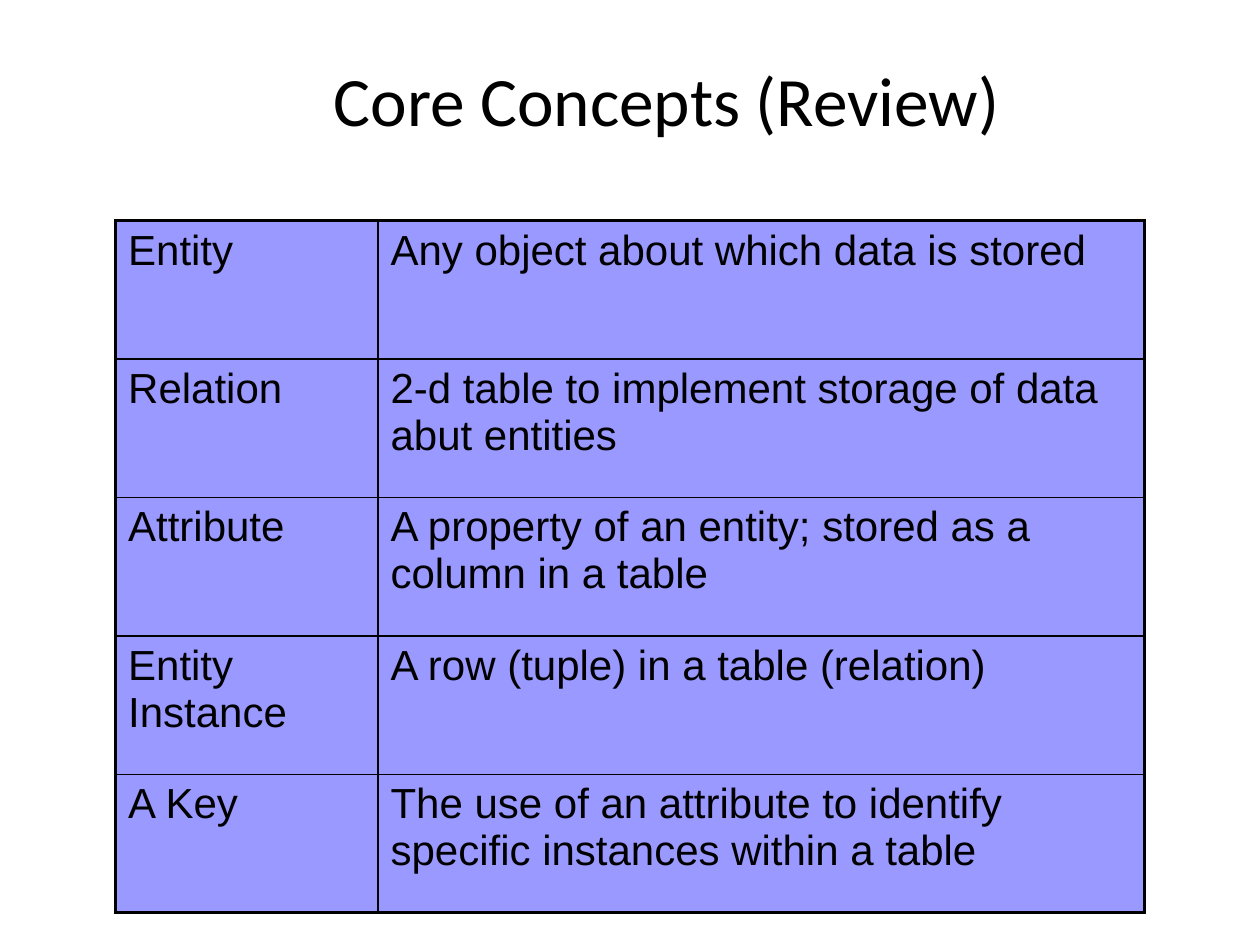
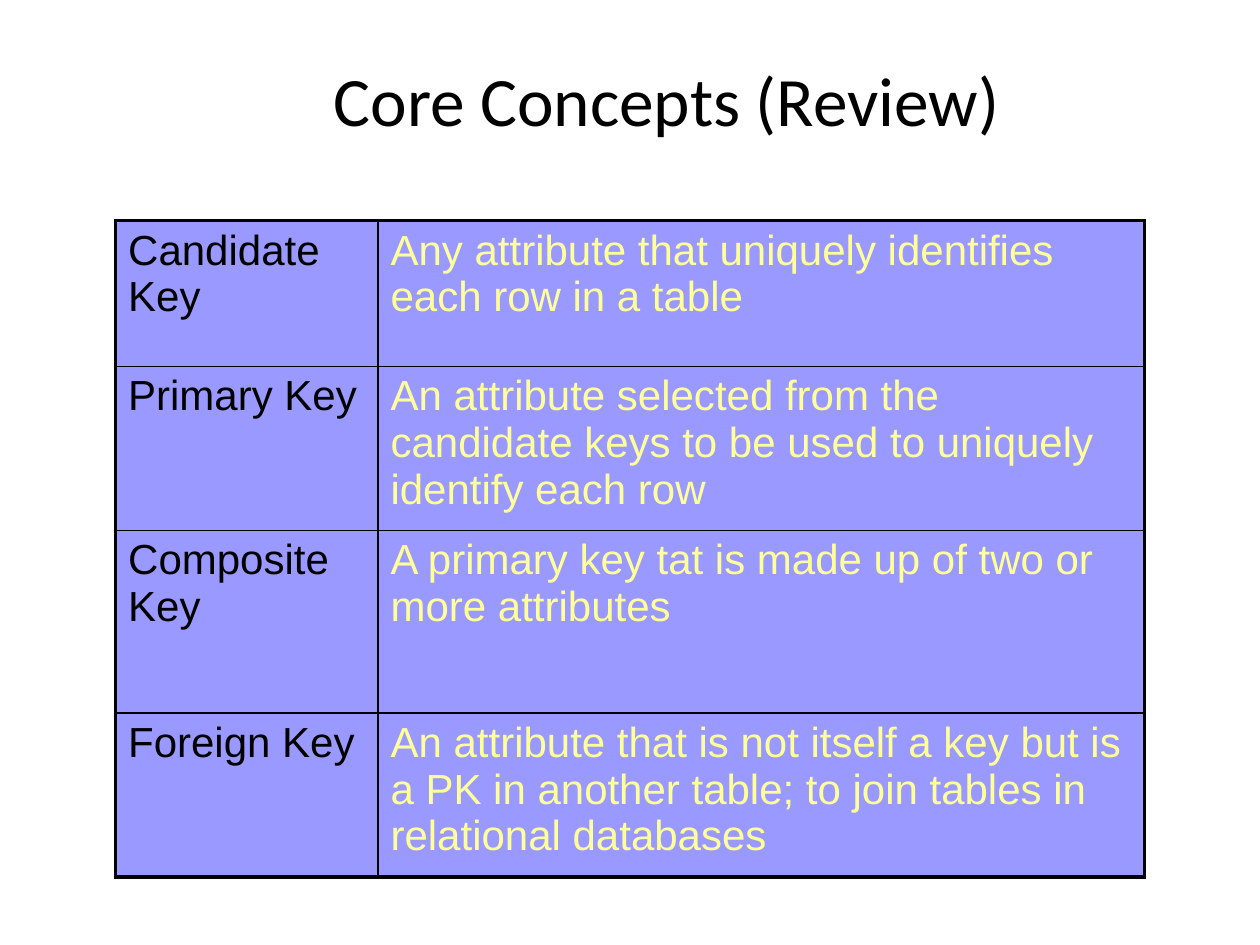
"""Build two review slides that define core database concepts."""
import dataclasses

import lxml.etree
import pptx
import pptx.dml.color
import pptx.enum.text
import pptx.oxml.ns
import pptx.util
from pptx.util import Cm


@dataclasses.dataclass(frozen=True)
class Theme:
    """Colours, fonts and sizes shared by the slides."""
    ink: str = "000000"
    accent: str = "FFFF99"
    cell: str = "9999FF"
    title_font: str = "Calibri"
    body_font: str = "Arial"
    title_size: float = 39.6
    body_size: float = 24
    outer_line: float = 2.25
    inner_line: float = 1


THEME = Theme()
TITLE = "Core Concepts (Review)"
COL_WIDTHS = (5.29, 15.45)

CONCEPTS = [
    ("Entity", "Any object about which data is stored"),
    ("Relation", "2-d table to implement storage of data abut entities"),
    ("Attribute", "A property of an entity; stored as a column in a table"),
    ("Entity Instance", "A row (tuple) in a table (relation)"),
    ("A Key", "The use of an attribute to identify specific instances within a table"),
]
KEYS = [
    ("Candidate Key", "Any attribute that uniquely identifies each row in a table"),
    ("Primary Key", "An attribute selected from the candidate keys to be used to "
                    "uniquely identify each row"),
    ("Composite Key", "A primary key tat is made up of two or more attributes"),
    ("Foreign Key", "An attribute that is not itself a key but is a PK in another table; "
                    "to join tables in relational databases"),
]


def rgb(value):
    """Return an RGBColor for a hex string."""
    return pptx.dml.color.RGBColor.from_string(value)


def add_run(p, text, font, size, color):
    """Add one formatted run to a paragraph."""
    r = p.add_run()
    r.text = text
    r.font.name = font
    r.font.size = pptx.util.Pt(size)
    r.font.color.rgb = rgb(color)


def add_title(s):
    """Add the centred slide title."""
    sp = s.shapes.add_textbox(Cm(4.65), Cm(1.02), Cm(17.58), Cm(1.96))
    tf = sp.text_frame
    tf.word_wrap = True
    tf.vertical_anchor = pptx.enum.text.MSO_ANCHOR.MIDDLE
    p = tf.paragraphs[0]
    p.alignment = pptx.enum.text.PP_ALIGN.CENTER
    add_run(p, TITLE, THEME.title_font, THEME.title_size, THEME.ink)


def set_borders(cell, widths):
    """Draw the left, right, top and bottom borders of a cell."""
    qn = pptx.oxml.ns.qn
    tc_pr = cell._tc.get_or_add_tcPr()
    for i, (side, width) in enumerate(zip("LRTB", widths)):
        ln = lxml.etree.Element(qn(f"a:ln{side}"), w=str(pptx.util.Pt(width)))
        fill = lxml.etree.SubElement(ln, qn("a:solidFill"))
        lxml.etree.SubElement(fill, qn("a:srgbClr"), val=THEME.ink)
        tc_pr.insert(i, ln)


def add_definitions(s, entries, heights, definition_color):
    """Add a table of terms and their definitions."""
    table = s.shapes.add_table(len(entries), len(COL_WIDTHS), Cm(2.33), Cm(4.45),
                               Cm(sum(COL_WIDTHS)), Cm(sum(heights))).table
    table.first_row = table.horz_banding = False
    for column, width in zip(table.columns, COL_WIDTHS):
        column.width = Cm(width)
    last_row, last_col = len(entries) - 1, len(COL_WIDTHS) - 1
    for i, (entry, height) in enumerate(zip(entries, heights)):
        table.rows[i].height = Cm(height)
        for j, (text, color) in enumerate(zip(entry, (THEME.ink, definition_color))):
            cell = table.cell(i, j)
            cell.fill.solid()
            cell.fill.fore_color.rgb = rgb(THEME.cell)
            edges = (j == 0, j == last_col, i == 0, i == last_row)
            set_borders(cell, [THEME.outer_line if edge else THEME.inner_line
                               for edge in edges])
            add_run(cell.text_frame.paragraphs[0], text,
                    THEME.body_font, THEME.body_size, color)


def main():
    """Build and save the presentation."""
    prs = pptx.Presentation()
    prs.slide_width, prs.slide_height = Cm(25.4), Cm(19.05)
    for entries, heights, color in (
        (CONCEPTS, [2.79] * len(CONCEPTS), THEME.ink),
        (KEYS, [2.94, 2.95, 3.68, 2.95], THEME.accent),
    ):
        s = prs.slides.add_slide(prs.slide_layouts[6])
        add_title(s)
        add_definitions(s, entries, heights, color)
    prs.save("out.pptx")


main()
